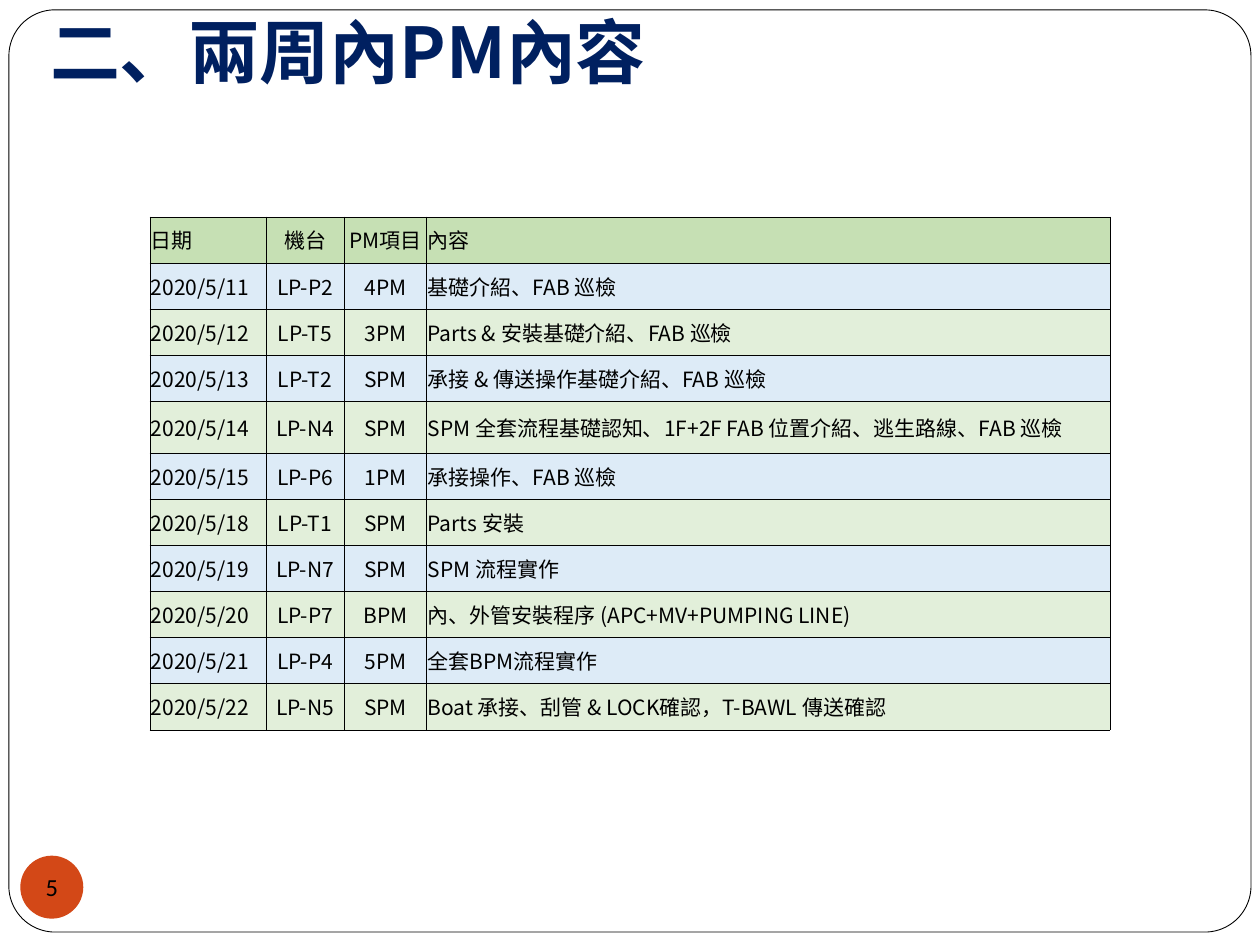
from dataclasses import dataclass
from typing import NamedTuple

from lxml.etree import SubElement
from pptx import Presentation
from pptx.dml.color import RGBColor
from pptx.enum.shapes import MSO_SHAPE as Preset
from pptx.enum.text import MSO_ANCHOR as Anchor, PP_ALIGN as Align
from pptx.oxml.ns import qn
from pptx.util import Cm, Pt


@dataclass(frozen=True)
class Theme:
    title_color: str = "002060"
    text_color: str = "000000"
    paper: str = "FFFFFF"
    badge: str = "D34817"
    header_fill: str = "C6E0B4"
    row_fills: tuple = ("DDEBF7", "E2EFDA")
    font: str = "Noto Sans CJK SC"
    number_font: str = "Calibri"
    title_size: float = 40
    table_size: float = 12
    number_size: float = 14
    frame_line: float = 0.5
    cell_line: float = 0.23


class Box(NamedTuple):
    left: float
    top: float
    width: float
    height: float

    def lengths(self) -> tuple:
        return tuple(Cm(value) for value in self)


class Session(NamedTuple):
    date: str
    machine: str
    item: str
    content: str
    height: float = 0.93


THEME = Theme()
COLUMN_WIDTHS = (2.34, 1.58, 1.66, 13.77)
COLUMN_ALIGNS = (Align.LEFT, Align.CENTER, Align.CENTER, Align.LEFT)
SESSIONS = (
    Session("日期", "機台", "PM項目", "內容"),
    Session("2020/5/11", "LP-P2", "4PM", "基礎介紹、FAB 巡檢"),
    Session("2020/5/12", "LP-T5", "3PM", "Parts & 安裝基礎介紹、FAB 巡檢"),
    Session("2020/5/13", "LP-T2", "SPM", "承接 & 傳送操作基礎介紹、FAB 巡檢"),
    Session("2020/5/14", "LP-N4", "SPM",
            "SPM 全套流程基礎認知、1F+2F FAB 位置介紹、逃生路線、FAB 巡檢", 1.04),
    Session("2020/5/15", "LP-P6", "1PM", "承接操作、FAB 巡檢"),
    Session("2020/5/18", "LP-T1", "SPM", "Parts 安裝"),
    Session("2020/5/19", "LP-N7", "SPM", "SPM 流程實作"),
    Session("2020/5/20", "LP-P7", "BPM", "內、外管安裝程序 (APC+MV+PUMPING LINE)"),
    Session("2020/5/21", "LP-P4", "5PM", "全套BPM流程實作"),
    Session("2020/5/22", "LP-N5", "SPM", "Boat 承接、刮管 & LOCK確認，T-BAWL 傳送確認"),
)


def rgb(value: str) -> RGBColor:
    return RGBColor.from_string(value)


def write_text(frame, text: str, *, size: float, font: str = THEME.font,
               color: str = THEME.text_color, bold: bool = False,
               align=Align.LEFT) -> None:
    paragraph = frame.paragraphs[0]
    paragraph.alignment = align
    run = paragraph.add_run()
    run.text = text
    run.font.name = font
    run.font.size = Pt(size)
    run.font.bold = bold
    run.font.color.rgb = rgb(color)
    SubElement(run.font._element, qn("a:ea"), typeface=font)


def set_margins(target, left: float, top: float, right: float, bottom: float) -> None:
    target.margin_left, target.margin_top = Cm(left), Cm(top)
    target.margin_right, target.margin_bottom = Cm(right), Cm(bottom)


def add_filled_shape(slide, preset, box: Box, fill: str):
    shape = slide.shapes.add_shape(preset, *box.lengths())
    shape.shadow.inherit = False
    shape.fill.solid()
    shape.fill.fore_color.rgb = rgb(fill)
    return shape


def add_frame(slide, box: Box) -> None:
    shape = add_filled_shape(slide, Preset.ROUNDED_RECTANGLE, box, THEME.paper)
    shape.adjustments[0] = 0.05
    shape.line.color.rgb = rgb(THEME.text_color)
    shape.line.width = Pt(THEME.frame_line)


def add_title(slide, box: Box, text: str) -> None:
    frame = slide.shapes.add_textbox(*box.lengths()).text_frame
    frame.word_wrap = True
    frame.vertical_anchor = Anchor.BOTTOM
    set_margins(frame, 0.25, 0.13, 0.25, 0.25)
    write_text(frame, text, size=THEME.title_size, color=THEME.title_color, bold=True)


def add_page_number(slide, box: Box, text: str) -> None:
    shape = add_filled_shape(slide, Preset.OVAL, box, THEME.badge)
    shape.line.fill.background()
    frame = shape.text_frame
    frame.word_wrap = False
    frame.vertical_anchor = Anchor.MIDDLE
    set_margins(frame, 0, 0, 0, 0)
    write_text(frame, text, size=THEME.number_size, font=THEME.number_font,
               align=Align.CENTER)


def add_borders(cell) -> None:
    properties = cell._tc.get_or_add_tcPr()
    for side in ("lnL", "lnR", "lnT", "lnB"):
        line = SubElement(properties, qn(f"a:{side}"), w=str(Pt(THEME.cell_line)))
        fill = SubElement(line, qn("a:solidFill"))
        SubElement(fill, qn("a:srgbClr"), val=THEME.text_color)


def fill_cell(cell, text: str, fill: str, align) -> None:
    cell.vertical_anchor = Anchor.MIDDLE
    set_margins(cell, 0.02, 0.13, 0.02, 0.13)
    add_borders(cell)
    cell.fill.solid()
    cell.fill.fore_color.rgb = rgb(fill)
    write_text(cell.text_frame, text, size=THEME.table_size, align=align)


def add_schedule(slide, left: float, top: float) -> None:
    box = Box(left, top, sum(COLUMN_WIDTHS), sum(session.height for session in SESSIONS))
    table = slide.shapes.add_table(len(SESSIONS), len(COLUMN_WIDTHS), *box.lengths()).table
    table.first_row = table.horz_banding = False
    for column, width in zip(table.columns, COLUMN_WIDTHS):
        column.width = Cm(width)
    for index, (row, session) in enumerate(zip(table.rows, SESSIONS)):
        row.height = Cm(session.height)
        fill = THEME.row_fills[(index - 1) % 2] if index else THEME.header_fill
        for cell, text, align in zip(row.cells, session, COLUMN_ALIGNS):
            fill_cell(cell, text, fill, align)


def main() -> None:
    """Build the two-week PM schedule slide."""
    presentation = Presentation()
    presentation.slide_width, presentation.slide_height = Cm(25.4), Cm(19.05)
    slide = presentation.slides.add_slide(presentation.slide_layouts[6])
    add_frame(slide, Box(0.18, 0.2, 25.04, 18.59))
    add_title(slide, Box(0.76, 0.08, 21.59, 2.03), "二、兩周內PM內容")
    add_schedule(slide, 3.02, 4.37)
    add_page_number(slide, Box(0.41, 17.25, 1.27, 1.27), "5")
    presentation.save("out.pptx")


if __name__ == "__main__":
    main()
